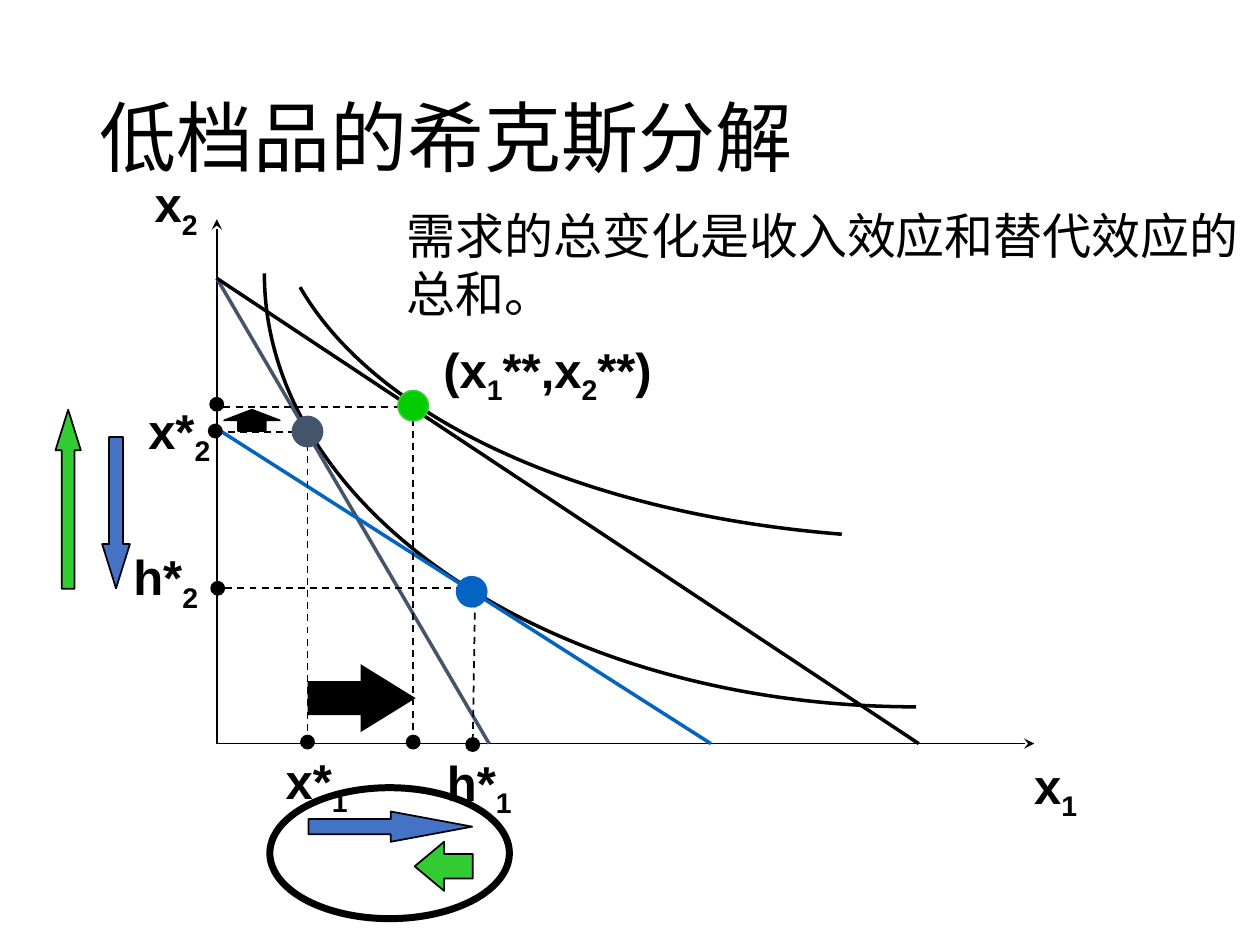
from lxml.etree import SubElement
from pptx import Presentation
from pptx.dml.color import RGBColor
from pptx.enum.dml import MSO_LINE
from pptx.enum.shapes import MSO_CONNECTOR, MSO_SHAPE
from pptx.enum.text import MSO_ANCHOR, MSO_AUTO_SIZE
from pptx.oxml.ns import qn
from pptx.util import Cm, Pt

BLACK, SLATE, BLUE, ROYAL = "000000", "44546A", "0563C1", "4472C4"
GREEN, LIME = "33CC33", "00CC00"
LEFT, BASE = 4.37, 14.99


def color(code):
    """Turn a hex string into a colour."""
    return RGBColor.from_string(code)


def stroke(line, code, width):
    """Set the colour and width of a line."""
    line.color.rgb = color(code)
    line.width = Pt(width)


def add_line(slide, start, end, code=BLACK, width=2, dash=False, tip=None):
    """Draw a straight line, with an optional arrowhead at one end."""
    link = slide.shapes.add_connector(
        MSO_CONNECTOR.STRAIGHT, *map(Cm, (*start, *end)))
    stroke(link.line, code, width)
    if dash:
        link.line.dash_style = MSO_LINE.DASH
    props = link._element.spPr
    if tip:
        SubElement(props.find(qn("a:ln")), qn(f"a:{tip}"), type="stealth")
    SubElement(props, qn("a:effectLst"))


def add_curve(slide, points):
    """Draw an open cubic curve through its four control points."""
    spots = [(Cm(x), Cm(y)) for x, y in points]
    pen = slide.shapes.build_freeform(*spots[0])
    pen.add_line_segments(spots[1:], close=False)
    curve = pen.convert_to_shape()
    curve.shadow.inherit = False
    curve.fill.background()
    stroke(curve.line, BLACK, 2)
    path = curve._element.find(".//" + qn("a:path"))
    bend = SubElement(path, qn("a:cubicBezTo"))
    for step in path.findall(qn("a:lnTo")):
        bend.append(step[0])
        path.remove(step)


def add_form(slide, kind, box, fill=None, line=None, width=1, adj=()):
    """Draw a preset shape."""
    form = slide.shapes.add_shape(kind, *map(Cm, box))
    form.shadow.inherit = False
    for i, value in enumerate(adj):
        form.adjustments[i] = value
    if fill:
        form.fill.solid()
        form.fill.fore_color.rgb = color(fill)
    else:
        form.fill.background()
    if line:
        stroke(form.line, line, width)
    else:
        form.line.fill.background()


def add_dot(slide, x, y, size=0.3, fill=BLACK, line=None):
    """Draw a round dot about its centre."""
    box = (x - size / 2, y - size / 2, size, size)
    add_form(slide, MSO_SHAPE.OVAL, box, fill, line)


def add_run(para, text, size, font, bold=False, sub=False):
    """Add one run of text, lowered if it is a subscript."""
    run = para.add_run()
    run.text = text
    run.font.size = Pt(size)
    run.font.name = font
    run.font.bold = bold
    run.font.color.rgb = color(BLACK)
    if sub:
        run._r.get_or_add_rPr().set("baseline", "-25000")


def add_box(slide, box):
    """Add an unwrapped text box and return its frame."""
    frame = slide.shapes.add_textbox(*map(Cm, box)).text_frame
    frame.word_wrap = False
    frame.auto_size = MSO_AUTO_SIZE.SHAPE_TO_FIT_TEXT
    return frame


def add_label(slide, text, x, y, width, height=1.45):
    """Add a bold label whose parts between bars are subscripts."""
    para = add_box(slide, (x, y, width, height)).paragraphs[0]
    for i, part in enumerate(text.split("|")):
        add_run(para, part, 28, "Arial", True, i % 2 == 1)


def add_title(slide, text):
    """Add the slide title."""
    frame = add_box(slide, (1.75, 1.02, 21.89, 3.68))
    frame.auto_size = MSO_AUTO_SIZE.NONE
    frame.word_wrap = True
    frame.vertical_anchor = MSO_ANCHOR.MIDDLE
    frame.paragraphs[0].line_spacing = 0.9
    add_run(frame.paragraphs[0], text, 44, "Calibri")


def add_note(slide, lines):
    """Add the plain remark, one paragraph a line."""
    frame = add_box(slide, (7.95, 4.01, 17.3, 2.62))
    for i, text in enumerate(lines):
        para = frame.add_paragraph() if i else frame.paragraphs[0]
        add_run(para, text, 28, "Arial")


def add_graph(slide):
    """Draw the axes, curves, budget lines, guides and points."""
    add_line(slide, (LEFT, 4.42), (LEFT, BASE), width=1, tip="headEnd")
    add_line(slide, (LEFT, BASE), (20.85, BASE), width=1, tip="tailEnd")
    add_curve(slide, [(18.47, 14.25), (11.23, 14.25), (5.33, 10.34), (5.33, 5.51)])
    add_line(slide, (LEFT, 5.61), (9.86, BASE), SLATE)
    add_line(slide, (LEFT, 5.61), (18.52, BASE))
    add_line(slide, (LEFT, 8.64), (14.33, BASE), BLUE)
    for x, y, foot in ((6.2, 8.71, 6.2), (9.58, 11.86, 9.53), (8.32, 8.2, 8.32)):
        add_line(slide, (x, y), (foot, BASE), width=1, dash=True)
        add_line(slide, (x, y), (LEFT, y), width=1, dash=True)
    for x, y in ((4.34, 8.69), (4.39, 11.86), (4.37, 8.15),
                 (6.2, 14.96), (9.53, 15.01), (8.33, 14.96)):
        add_dot(slide, x, y)
    add_curve(slide, [(16.97, 10.77), (11.79, 10.36), (7.59, 8.46), (6.05, 5.79)])
    add_dot(slide, 6.2, 8.7, 0.64, SLATE)
    add_dot(slide, 8.33, 8.18, 0.61, LIME, GREEN)
    add_dot(slide, 9.51, 11.93, 0.64, BLUE)


def add_arrows(slide):
    """Draw the block arrows and the ring round the lower pair."""
    right, up = MSO_SHAPE.RIGHT_ARROW, MSO_SHAPE.UP_ARROW
    left, down = MSO_SHAPE.LEFT_ARROW, MSO_SHAPE.DOWN_ARROW
    for kind, box, fill, line, head in (
        (right, (6.22, 16.36, 3.3, 0.61), ROYAL, BLACK, 2.69),
        (left, (8.36, 16.97, 1.17, 0.99), GREEN, BLACK, 0.6),
        (up, (4.52, 8.26, 1.12, 0.43), BLACK, BLACK, 0.5),
        (right, (6.2, 13.39, 2.18, 1.37), BLACK, None, 0.81),
        (up, (1.12, 8.26, 0.51, 3.61), GREEN, BLACK, 1.6),
        (down, (2.06, 8.81, 0.56, 3.05), ROYAL, BLACK, 1.59),
    ):
        add_form(slide, kind, box, fill, line, adj=(0.5, head))
    add_form(slide, MSO_SHAPE.OVAL, (5.44, 15.88, 4.83, 2.64), line=BLACK, width=4)


def main():
    """Build the slide and save it."""
    deck = Presentation()
    deck.slide_width, deck.slide_height = Cm(25.4), Cm(19.05)
    slide = deck.slides.add_slide(deck.slide_layouts[6])
    add_title(slide, "低档品的希克斯分解")
    add_graph(slide)
    add_label(slide, "x|2", 2.87, 3.38, 1.45)
    add_label(slide, "x|1", 20.6, 15.11, 1.45)
    add_label(slide, "x*|2", 2.74, 7.95, 1.83, 2.64)
    add_label(slide, "h*|2", 2.44, 10.9, 1.88)
    add_label(slide, "x*|1", 5.51, 15.01, 1.83)
    add_label(slide, "h*|1", 8.76, 15.04, 1.88)
    add_label(slide, "(x|1|**,x|2|**)", 8.69, 6.71, 4.85)
    add_arrows(slide)
    add_note(slide, ("需求的总变化是收入效应和替代效应的", "总和。"))
    deck.save("out.pptx")


if __name__ == "__main__":
    main()
